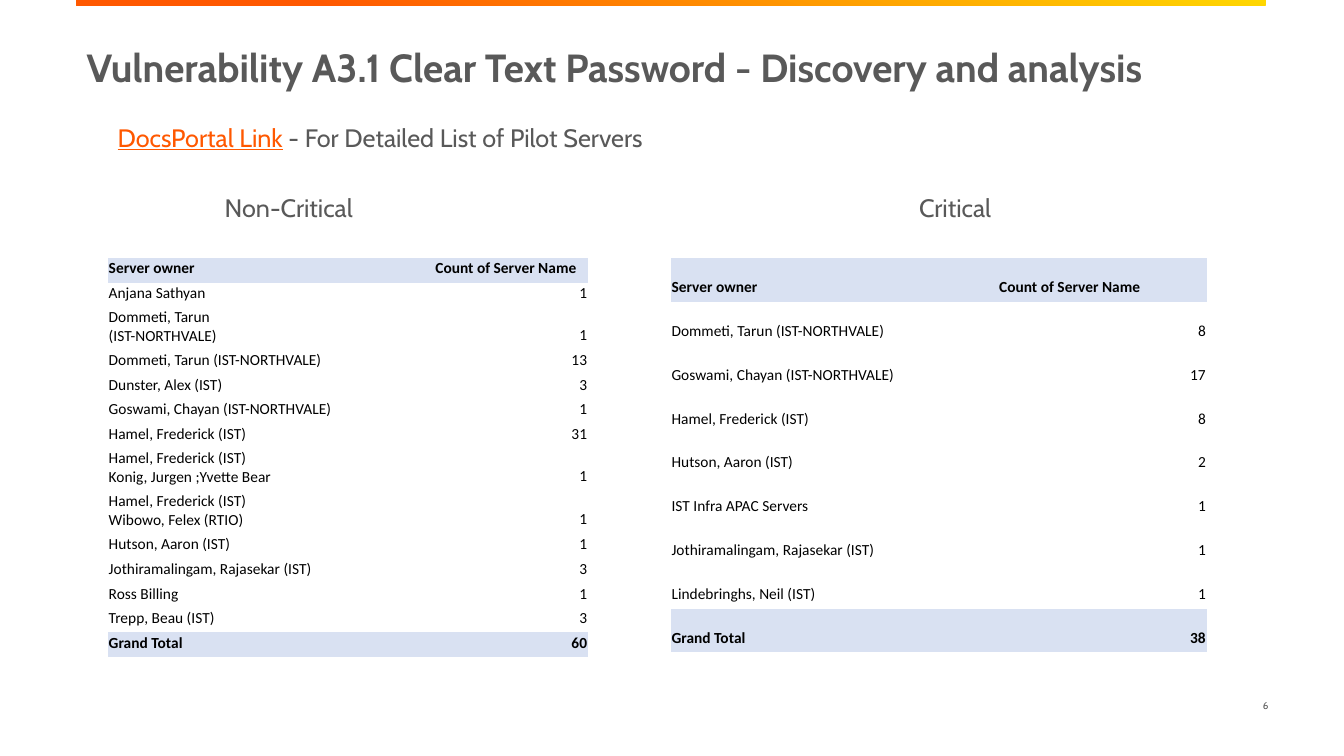
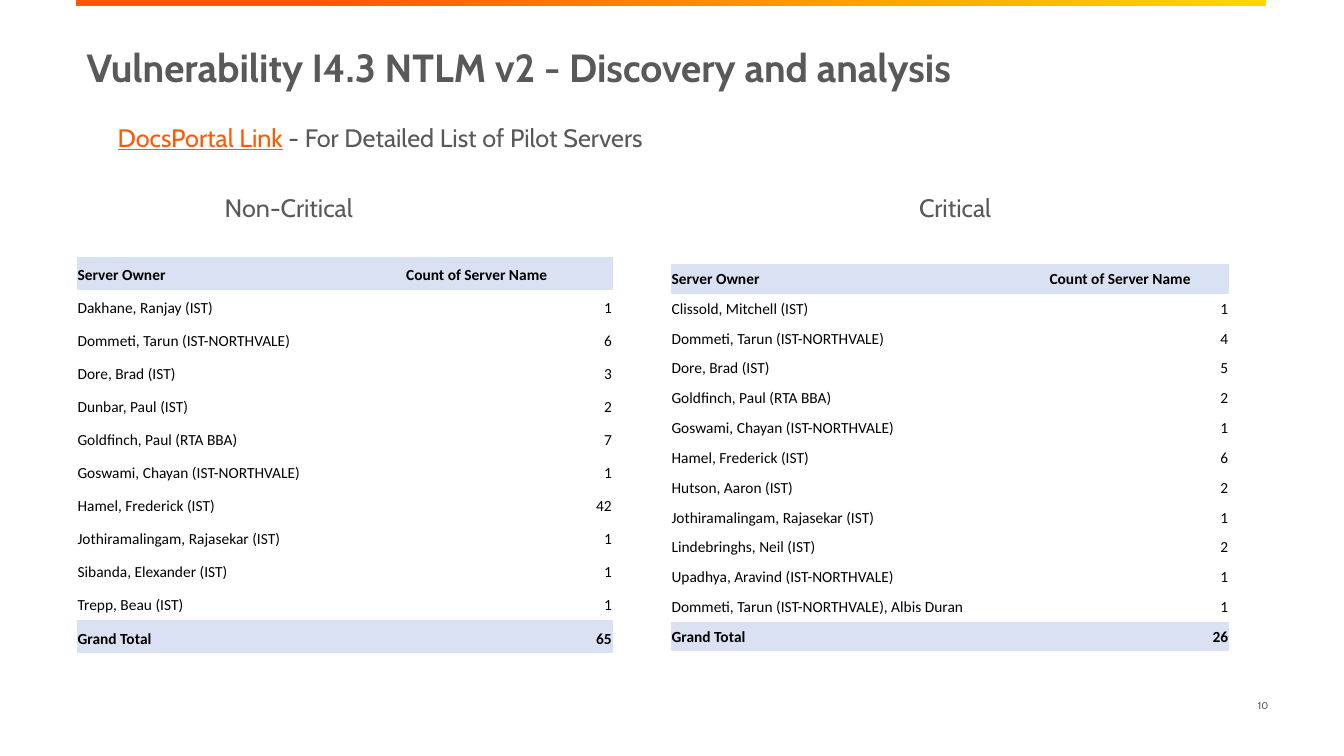
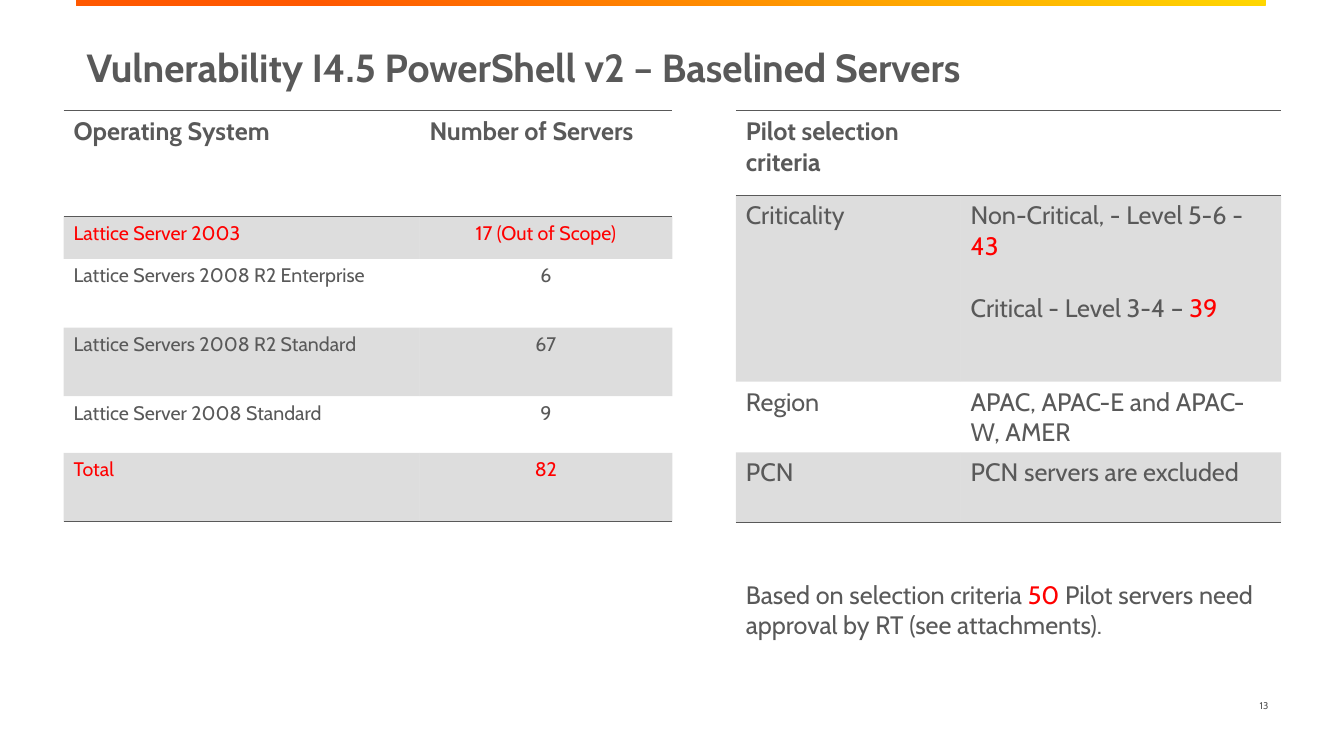
"""Build three slides on server vulnerabilities with owner counts and pilot criteria."""
from lxml.etree import SubElement
from pptx import Presentation
from pptx.dml.color import RGBColor
from pptx.enum.shapes import MSO_SHAPE
from pptx.enum.text import MSO_ANCHOR, PP_ALIGN
from pptx.oxml.ns import qn
from pptx.util import Pt

GRAY = RGBColor(0x59, 0x59, 0x59)
ORANGE = RGBColor(0xFF, 0x58, 0x00)
YELLOW = RGBColor(0xFF, 0xD7, 0x00)
RED = RGBColor(0xFF, 0x00, 0x00)
BLACK = RGBColor(0x00, 0x00, 0x00)
PALE_BLUE = RGBColor(0xD9, 0xE1, 0xF2)
HEADING_FONT = "Cabin"
TABLE_FONT = "Calibri"
PLAIN_TABLE_STYLE = "{2D5ABB26-0587-4C30-8999-92F81FD0307C}"
BAND_OPACITY = 20

CLEAR_TEXT_OTHERS = [
    ("Anjana Sathyan", 1),
    ("Dommeti, Tarun\n(IST-NORTHVALE)", 1),
    ("Dommeti, Tarun (IST-NORTHVALE)", 13),
    ("Dunster, Alex (IST)", 3),
    ("Goswami, Chayan (IST-NORTHVALE)", 1),
    ("Hamel, Frederick (IST)", 31),
    ("Hamel, Frederick (IST)\nKonig, Jurgen ;Yvette Bear", 1),
    ("Hamel, Frederick (IST)\nWibowo, Felex (RTIO)", 1),
    ("Hutson, Aaron (IST)", 1),
    ("Jothiramalingam, Rajasekar (IST)", 3),
    ("Ross Billing", 1),
    ("Trepp, Beau (IST)", 3),
]
CLEAR_TEXT_CRITICAL = [
    ("Dommeti, Tarun (IST-NORTHVALE)", 8),
    ("Goswami, Chayan (IST-NORTHVALE)", 17),
    ("Hamel, Frederick (IST)", 8),
    ("Hutson, Aaron (IST)", 2),
    ("IST Infra APAC Servers", 1),
    ("Jothiramalingam, Rajasekar (IST)", 1),
    ("Lindebringhs, Neil (IST)", 1),
]
NTLM_OTHERS = [
    ("Dakhane, Ranjay (IST)", 1),
    ("Dommeti, Tarun (IST-NORTHVALE)", 6),
    ("Dore, Brad (IST)", 3),
    ("Dunbar, Paul (IST)", 2),
    ("Goldfinch, Paul (RTA BBA)", 7),
    ("Goswami, Chayan (IST-NORTHVALE)", 1),
    ("Hamel, Frederick (IST)", 42),
    ("Jothiramalingam, Rajasekar (IST)", 1),
    ("Sibanda, Elexander (IST)", 1),
    ("Trepp, Beau (IST)", 1),
]
NTLM_CRITICAL = [
    ("Clissold, Mitchell (IST)", 1),
    ("Dommeti, Tarun (IST-NORTHVALE)", 4),
    ("Dore, Brad (IST)", 5),
    ("Goldfinch, Paul (RTA BBA)", 2),
    ("Goswami, Chayan (IST-NORTHVALE)", 1),
    ("Hamel, Frederick (IST)", 6),
    ("Hutson, Aaron (IST)", 2),
    ("Jothiramalingam, Rajasekar (IST)", 1),
    ("Lindebringhs, Neil (IST)", 2),
    ("Upadhya, Aravind (IST-NORTHVALE)", 1),
    ("Dommeti, Tarun (IST-NORTHVALE), Albis Duran", 1),
]
OPERATING_SYSTEMS = [
    ("Lattice Server 2003", "17 (Out of Scope)", RED),
    ("Lattice Servers 2008 R2 Enterprise", "6", GRAY),
    ("Lattice Servers 2008 R2 Standard", "67", GRAY),
    ("Lattice Server 2008 Standard", "9", GRAY),
    ("Total", "82", RED),
]
PILOT_CRITERIA = [
    ("Criticality", [[("Non-Critical, - Level 5-6 - ", GRAY), ("43", RED)],
                     [("Critical - Level 3-4 – ", GRAY), ("39", RED)]]),
    ("Region", [[("APAC, APAC-E and APAC-W, AMER", GRAY)]]),
    ("PCN", [[("PCN servers are excluded", GRAY)]]),
]


def write_text(frame, paragraphs, size, font=HEADING_FONT, bold=False,
               align=PP_ALIGN.LEFT, gap=0):
    frame.word_wrap = True
    for index, runs in enumerate(paragraphs):
        paragraph = frame.add_paragraph() if index else frame.paragraphs[0]
        paragraph.alignment = align
        if index and gap:
            paragraph.space_before = Pt(gap)
        for text, color in runs:
            run = paragraph.add_run()
            run.text = text
            run.font.name = font
            run.font.size = Pt(size)
            run.font.bold = bold
            run.font.color.rgb = color


def add_text(slide, left, top, width, height, runs, size=18, **style):
    shape = slide.shapes.add_textbox(Pt(left), Pt(top), Pt(width), Pt(height))
    write_text(shape.text_frame, [runs], size, **style)
    return shape.text_frame


def add_table(slide, left, top, widths, heights):
    shape = slide.shapes.add_table(len(heights), len(widths), Pt(left), Pt(top),
                                   Pt(sum(widths)), Pt(sum(heights)))
    table = shape.table
    table.first_row = False
    table.horz_banding = False
    table._tbl.tblPr.find(qn("a:tableStyleId")).text = PLAIN_TABLE_STYLE
    for column, width in zip(table.columns, widths):
        column.width = Pt(width)
    for row, height in zip(table.rows, heights):
        row.height = Pt(height)
    return table


def add_border(cell, side):
    line = SubElement(cell._tc.get_or_add_tcPr(), qn(f"a:ln{side}"), w=str(Pt(1)))
    fill = SubElement(line, qn("a:solidFill"))
    SubElement(fill, qn("a:srgbClr"), val=str(GRAY))


def fill_cell(cell, color, opacity=100):
    cell.fill.solid()
    cell.fill.fore_color.rgb = color
    if opacity < 100:
        color_element = cell._tc.tcPr.find(".//" + qn("a:solidFill") + "/" + qn("a:srgbClr")) \
            if not cell._tc.tcPr.findall(qn("a:solidFill")) \
            else cell._tc.tcPr.find(qn("a:solidFill") + "/" + qn("a:srgbClr"))
        SubElement(color_element, qn("a:alpha"), val=str(opacity * 1000))


def add_owner_table(slide, left, top, widths, row_height, header, owners):
    total = sum(count for _, count in owners)
    rows = [(header, "Count of Server Name"), *owners, ("Grand Total", total)]
    table = add_table(slide, left, top, widths, [row_height] * len(rows))
    for row_index, values in enumerate(rows):
        strong = row_index in (0, len(rows) - 1)
        for column_index, value in enumerate(values):
            cell = table.cell(row_index, column_index)
            cell.vertical_anchor = MSO_ANCHOR.BOTTOM
            cell.margin_left = cell.margin_top = cell.margin_right = Pt(0.7)
            cell.margin_bottom = Pt(3.6)
            align = PP_ALIGN.RIGHT if row_index and column_index else PP_ALIGN.LEFT
            lines = [[(line, BLACK)] for line in str(value).split("\n")]
            write_text(cell.text_frame, lines, 11, TABLE_FONT, strong, align)
            if strong:
                fill_cell(cell, PALE_BLUE)


def add_ruled_table(slide, left, top, widths, heights, headers, rows, size,
                    value_align=PP_ALIGN.LEFT):
    table = add_table(slide, left, top, widths, heights)
    for column_index, header in enumerate(headers):
        cell = table.cell(0, column_index)
        if header:
            write_text(cell.text_frame, [[(header, GRAY)]], 18, bold=True)
        add_border(cell, "T")
        add_border(cell, "B")
    for row_index, row in enumerate(rows, 1):
        for column_index, paragraphs in enumerate(row):
            cell = table.cell(row_index, column_index)
            align = value_align if column_index else PP_ALIGN.LEFT
            write_text(cell.text_frame, paragraphs, size, align=align, gap=22)
            if row_index == len(rows):
                add_border(cell, "B")
            if row_index % 2:
                fill_cell(cell, GRAY, BAND_OPACITY)


def add_slide(presentation, title, number):
    slide = presentation.slides.add_slide(presentation.slide_layouts[6])
    bar = slide.shapes.add_shape(MSO_SHAPE.RECTANGLE, Pt(54.7), Pt(0), Pt(849.6), Pt(3.9))
    bar.shadow.inherit = False
    bar.line.fill.background()
    bar.fill.gradient()
    bar.fill.gradient_angle = 250
    for stop, color, position in zip(bar.fill.gradient_stops, (YELLOW, ORANGE), (0, 0.8)):
        stop.color.rgb = color
        stop.position = position
    heading = add_text(slide, 54.7, 31, 849, 52.6, [(title, GRAY)], 28, bold=True)
    heading.paragraphs[0].line_spacing = 0.9
    footer = add_text(slide, 878.4, 489.6, 34.6, 28.8, [(str(number), GRAY)], 7,
                      align=PP_ALIGN.RIGHT)
    footer.vertical_anchor = MSO_ANCHOR.MIDDLE
    return slide


def add_discovery_slide(presentation, title, number):
    slide = add_slide(presentation, title, number)
    link = add_text(slide, 77, 83.5, 545, 29,
                    [("DocsPortal Link", ORANGE), (" - For Detailed List of Pilot Servers", GRAY)])
    link.paragraphs[0].runs[0].font.underline = True
    for left, label in ((153.4, "Non-Critical"), (649.4, "Critical")):
        add_text(slide, left, 133.9, 123, 29, [(label, GRAY)])
    return slide


def add_baseline_slide(presentation):
    slide = add_slide(presentation, "Vulnerability I4.5 PowerShell v2 – Baselined Servers", 13)
    systems = [([[(name, color)]], [[(count, color)]])
               for name, count, color in OPERATING_SYSTEMS]
    add_ruled_table(slide, 45.4, 79.2, (254.2, 180.7), (75.6, 30.2, 49, 49, 40.6, 49),
                    ("Operating System", "Number of Servers"), systems, 14, PP_ALIGN.CENTER)
    criteria = [([[(name, GRAY)]], paragraphs) for name, paragraphs in PILOT_CRITERIA]
    add_ruled_table(slide, 525.6, 79.2, (160.6, 229), (60.5, 133, 50, 50),
                    ("Pilot selection criteria", ""), criteria, 18)
    add_text(slide, 525.6, 410.4, 395, 51,
             [("Based on selection criteria ", GRAY), ("50", RED),
              (" Pilot servers need approval by RT (see attachments).", GRAY)])


def main():
    presentation = Presentation()
    presentation.slide_width = Pt(960)
    presentation.slide_height = Pt(540)
    clear_text = add_discovery_slide(
        presentation, "Vulnerability A3.1 Clear Text Password - Discovery and analysis", 6)
    add_owner_table(clear_text, 77, 184.3, (233.3, 109.8), 15, "Server owner", CLEAR_TEXT_OTHERS)
    add_owner_table(clear_text, 479, 184.3, (234, 149), 31.3, "Server owner", CLEAR_TEXT_CRITICAL)
    ntlm = add_discovery_slide(
        presentation, "Vulnerability I4.3 NTLM v2 - Discovery and analysis", 10)
    add_owner_table(ntlm, 54.7, 183.6, (234.7, 148.3), 23.6, "Server Owner", NTLM_OTHERS)
    add_owner_table(ntlm, 479, 188.6, (270, 129), 21.3, "Server Owner", NTLM_CRITICAL)
    add_baseline_slide(presentation)
    presentation.save("out.pptx")


if __name__ == "__main__":
    main()
